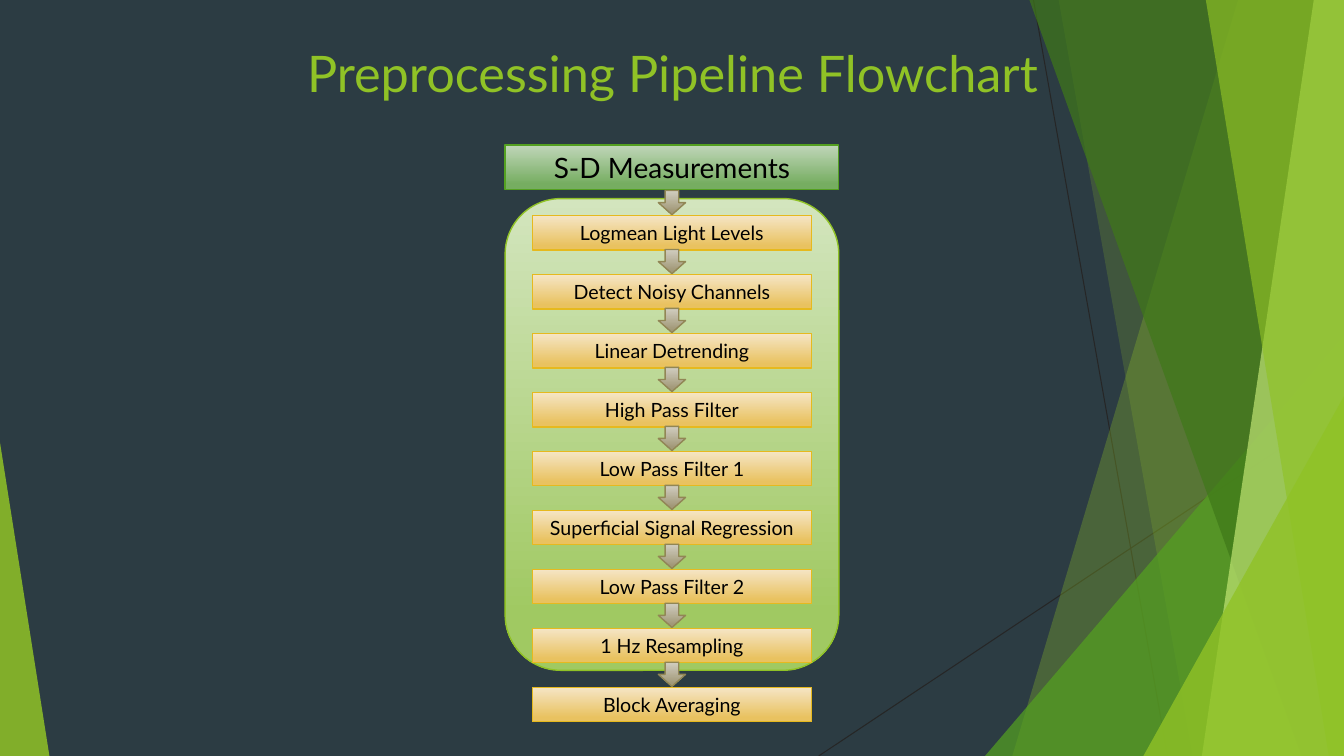
from pptx import Presentation
from pptx.dml.color import RGBColor
from pptx.enum.shapes import MSO_CONNECTOR as Connector, MSO_SHAPE as Shape
from pptx.enum.text import MSO_ANCHOR as Anchor, MSO_AUTO_SIZE as AutoSize, PP_ALIGN as Align
from pptx.oxml.ns import qn
from pptx.util import Inches, Pt
from lxml.etree import SubElement

NIGHT = RGBColor(0x2C, 0x3C, 0x43)
CHARCOAL = RGBColor(0x26, 0x26, 0x26)
BLACK = RGBColor(0, 0, 0)
LIME = RGBColor(0x90, 0xC2, 0x26)
GREEN = RGBColor(0x54, 0xA0, 0x21)
FOREST = RGBColor(0x3F, 0x78, 0x19)
PALE_LIME = RGBColor(0xC0, 0xE4, 0x74)
GOLD = RGBColor(0xE6, 0xB9, 0x1E)
KHAKI = RGBColor(0x91, 0x86, 0x55)
PANEL_FADE = RGBColor(0xD3, 0xE5, 0xBE), RGBColor(0xA0, 0xC9, 0x62)
INPUT_FADE = RGBColor(0xC0, 0xD6, 0xB9), RGBColor(0x76, 0xAD, 0x61)
STEP_FADE = RGBColor(0xF5, 0xE5, 0xC5), RGBColor(0xE9, 0xC2, 0x60)
ARROW_FADE = RGBColor(0xD1, 0xCD, 0xC0), RGBColor(0xA1, 0x98, 0x77)

FONT = "Lato"
WIDTH, HEIGHT = 13.33, 7.5
CENTER = WIDTH / 2
PITCH = 0.585

deck = Presentation()
deck.slide_width, deck.slide_height = Inches(WIDTH), Inches(HEIGHT)
slide = deck.slides.add_slide(deck.slide_layouts[5])
slide.background.fill.solid()
slide.background.fill.fore_color.rgb = NIGHT
shapes = slide.shapes


def write(frame, text, size, color):
    frame.word_wrap = True
    frame.vertical_anchor = Anchor.MIDDLE
    paragraph = frame.paragraphs[0]
    paragraph.alignment = Align.CENTER
    run = paragraph.add_run()
    run.text = text
    run.font.name = FONT
    run.font.size = Pt(size)
    run.font.color.rgb = color


def add_block(kind, top, width, height, fade, outline):
    block = shapes.add_shape(kind, Inches(CENTER - width / 2), Inches(top),
                             Inches(width), Inches(height))
    block.shadow.inherit = False
    block.fill.gradient()
    block.fill.gradient_angle = 270
    for stop, color, position in zip(block.fill.gradient_stops, fade, (0, 0.88)):
        stop.color.rgb = color
        stop.position = position
    block.line.color.rgb = outline
    block.line.width = Pt(1)
    return block


for x1, y1, x2, y2 in [(10.25, 0, 11.58, HEIGHT), (WIDTH, 4.03, 8.12, HEIGHT)]:
    ray = shapes.add_connector(Connector.STRAIGHT, Inches(x1), Inches(y1), Inches(x2), Inches(y2))
    ray.line.color.rgb = CHARCOAL
    ray.line.width = Pt(0.75)
    SubElement(ray._element.spPr, qn("a:effectLst"))

facets = [
    (12.28, 0, 10.04, WIDTH, LIME, 30),
    (10.5, 0, 11.83, WIDTH, LIME, 20),
    (WIDTH, 3.33, 9.77, WIDTH, GREEN, 72),
    (10.21, 0, 12.91, WIDTH, FOREST, 70),
    (13.03, 0, 11.92, WIDTH, PALE_LIME, 70),
    (11.96, 0, 13.18, WIDTH, LIME, 65),
    (WIDTH, 3.93, 11.34, WIDTH, LIME, 80),
    (0, 4.39, 0, 0.49, LIME, 85),
]
for peak, top, left, right, color, opacity in facets:
    if top:
        facet = shapes.add_shape(Shape.ISOSCELES_TRIANGLE, Inches(left), Inches(top),
                                 Inches(right - left), Inches(HEIGHT - top))
        facet.adjustments[0] = (peak - left) / (right - left)
    else:
        outline = shapes.build_freeform(Inches(peak), 0)
        corners = [(right, 0), (right, HEIGHT), (left, HEIGHT)]
        outline.add_line_segments([(Inches(x), Inches(y)) for x, y in corners])
        facet = outline.convert_to_shape()
    facet.shadow.inherit = False
    facet.fill.solid()
    facet.fill.fore_color.rgb = color
    tint = facet._element.spPr.find(".//" + qn("a:srgbClr"))
    SubElement(tint, qn("a:alpha"), val=str(opacity * 1000))
    facet.line.fill.background()

title = shapes.title
title.left, title.top, title.width, title.height = map(Inches, (1.97, 0, 9.4, 1.44))
write(title.text_frame, "Preprocessing Pipeline Flowchart", 36, LIME)
title._element.getparent().append(title._element)

add_block(Shape.ROUNDED_RECTANGLE, 1.97, 3.31, 4.68, PANEL_FADE, LIME)
measurements = add_block(Shape.RECTANGLE, 1.44, 3.31, 0.44, INPUT_FADE, GREEN)
write(measurements.text_frame, "S-D Measurements", 20, BLACK)
measurements.text_frame.auto_size = AutoSize.SHAPE_TO_FIT_TEXT

steps = [
    "Logmean Light Levels",
    "Detect Noisy Channels",
    "Linear Detrending",
    "High Pass Filter",
    "Low Pass Filter 1",
    "Superficial Signal Regression",
    "Low Pass Filter 2",
    "1 Hz Resampling",
    "Block Averaging",
]
for row, name in enumerate(steps):
    step_top = 2.14 + row * PITCH
    step = add_block(Shape.RECTANGLE, step_top, 2.77, 0.34, STEP_FADE, GOLD)
    write(step.text_frame, name, 14, BLACK)
    step.text_frame.auto_size = AutoSize.SHAPE_TO_FIT_TEXT
    add_block(Shape.DOWN_ARROW, step_top - 0.25, 0.27, 0.24, ARROW_FADE, KHAKI)

deck.save("out.pptx")
